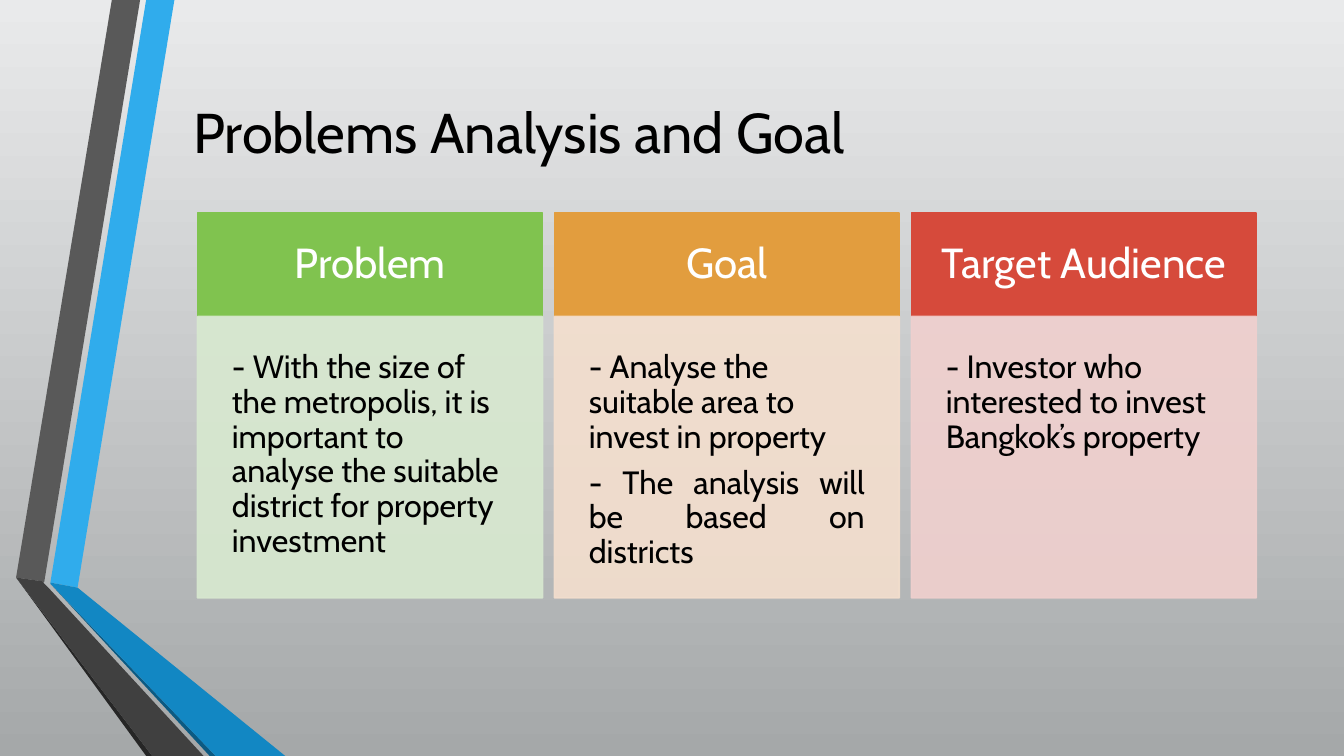
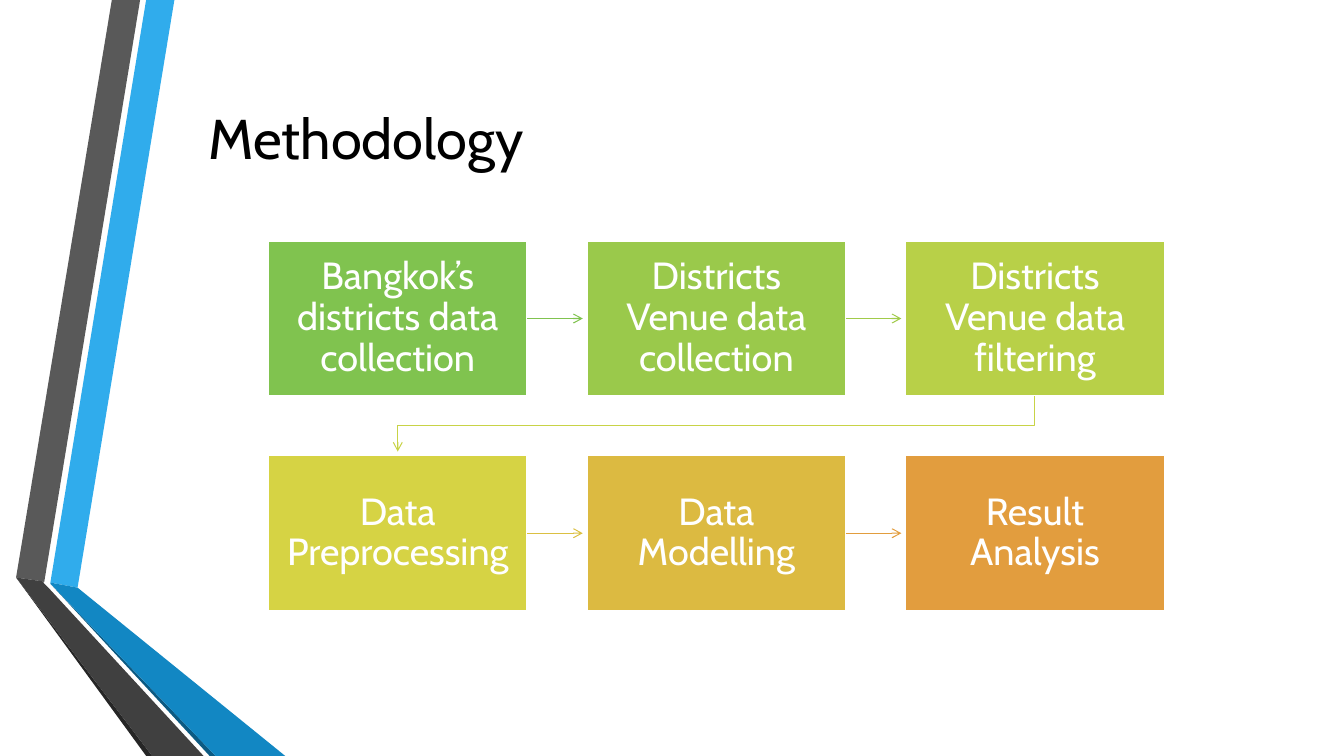
from lxml import etree
from pptx import Presentation
from pptx.dml.color import RGBColor
from pptx.enum import shapes, text
from pptx.oxml import ns
from pptx.util import Inches, Pt

FONT = "Cabin"
BLACK = RGBColor(0x00, 0x00, 0x00)
WHITE = RGBColor(0xFF, 0xFF, 0xFF)
SKY_TOP = RGBColor(0xE9, 0xEA, 0xEB)
SKY_BOTTOM = RGBColor(0xA5, 0xA8, 0xA9)
BLUE = RGBColor(0x30, 0xAC, 0xEC)
BLUE_MID = RGBColor(0x12, 0x87, 0xC3)
BLUE_DARK = RGBColor(0x0C, 0x5A, 0x82)
GREY = RGBColor(0x59, 0x59, 0x59)
GREY_MID = RGBColor(0x40, 0x40, 0x40)
GREY_DARK = RGBColor(0x26, 0x26, 0x26)
GREEN = RGBColor(0x80, 0xC3, 0x4F)
GREEN_PALE = RGBColor(0xD8, 0xE9, 0xD0)
ORANGE = RGBColor(0xE2, 0x9D, 0x3E)
ORANGE_PALE = RGBColor(0xF4, 0xDF, 0xCE)
RED = RGBColor(0xD6, 0x4A, 0x3B)
RED_PALE = RGBColor(0xF0, 0xD0, 0xCE)
LEAF = RGBColor(0x9A, 0xC9, 0x4B)
LIME = RGBColor(0xB8, 0xD0, 0x48)
YELLOW = RGBColor(0xD6, 0xD3, 0x44)
GOLD = RGBColor(0xDC, 0xBA, 0x41)
LEAF_LINE = RGBColor(0xA1, 0xCB, 0x4A)
LIME_LINE = RGBColor(0xC8, 0xD3, 0x46)
GOLD_LINE = RGBColor(0xDB, 0xC0, 0x42)

LEFT, CENTER, JUSTIFY = (
    text.PP_ALIGN.LEFT, text.PP_ALIGN.CENTER, text.PP_ALIGN.JUSTIFY)
TOP, MIDDLE = text.MSO_ANCHOR.TOP, text.MSO_ANCHOR.MIDDLE

BANDS = [
    (BLUE, [(0.5, 5.78), (0.77, 5.83), (1.73, 0), (1.45, 0)]),
    (GREY, [(1.39, 0), (1.11, 0), (0.16, 5.73), (0.44, 5.77)]),
    (GREY_DARK, [(0.16, 5.73), (1.45, 7.5), (1.51, 7.5)]),
    (BLUE_DARK, [(0.5, 5.79), (2.08, 7.5), (2.14, 7.5)]),
    (BLUE_MID, [(0.5, 5.79), (2.14, 7.5), (2.83, 7.5), (0.77, 5.83),
                (0.5, 5.78)]),
    (GREY_MID, [(2.02, 7.5), (0.48, 5.83), (0.43, 5.78), (0.44, 5.77),
                (0.16, 5.73), (1.51, 7.5)]),
]

COLUMNS = [
    ("Problem", GREEN, GREEN_PALE, [
        ("- With the size of the metropolis, it is important to analyse "
         "the suitable district for property investment", LEFT)]),
    ("Goal", ORANGE, ORANGE_PALE, [
        ("- Analyse the suitable area to invest in property", LEFT),
        ("- The analysis will be based on districts", JUSTIFY)]),
    ("Target Audience", RED, RED_PALE, [
        ("- Investor who interested to invest Bangkok’s property", LEFT)]),
]

STEPS = [
    ("Bangkok’s districts data collection", GREEN, GREEN),
    ("Districts Venue data collection", LEAF, LEAF_LINE),
    ("Districts Venue data filtering", LIME, LIME_LINE),
    ("Data Preprocessing", YELLOW, GOLD_LINE),
    ("Data Modelling", GOLD, ORANGE),
    ("Result Analysis", ORANGE, None),
]


def apply(obj, values):
    for name, value in values.items():
        setattr(obj, name, value)


def write(sp, paragraphs, size, color, anchor=MIDDLE, inset=0.1, **spacing):
    tf = sp.text_frame
    margins = ("margin_left", "margin_top", "margin_right", "margin_bottom")
    apply(tf, {"word_wrap": True, "vertical_anchor": anchor,
               **dict.fromkeys(margins, Inches(inset))})
    for i, (words, align) in enumerate(paragraphs):
        p = tf.add_paragraph() if i else tf.paragraphs[0]
        apply(p, {"alignment": align, **spacing})
        r = p.add_run()
        r.text = words
        apply(r.font, {"name": FONT, "size": Pt(size)})
        r.font.color.rgb = color


def add_outline(s, points, close):
    corners = [(Inches(x), Inches(y)) for x, y in points]
    builder = s.shapes.build_freeform(*corners[0])
    builder.add_line_segments(corners[1:], close=close)
    return builder.convert_to_shape()


def add_bands(s, layout):
    for color, points in BANDS:
        sp = add_outline(s, points, True)
        sp.shadow.inherit = False
        sp.fill.solid()
        sp.fill.fore_color.rgb = color
        sp.line.fill.background()
        layout.shapes.element.append(sp.element)


def add_title(s, words, x, y, w, h):
    sp = s.shapes.add_textbox(Inches(x), Inches(y), Inches(w), Inches(h))
    write(sp, [(words, LEFT)], 40, BLACK)


def add_box(s, x, y, w, h, fill, line, paragraphs, size, color, anchor, inset):
    sp = s.shapes.add_shape(shapes.MSO_SHAPE.RECTANGLE,
                            Inches(x), Inches(y), Inches(w), Inches(h))
    sp.shadow.inherit = False
    sp.fill.solid()
    sp.fill.fore_color.rgb = fill
    sp.line.color.rgb = line
    sp.line.width = Pt(1.25)
    write(sp, paragraphs, size, color, anchor, inset,
          line_spacing=0.9, space_after=Pt(0.35 * size))
    return sp


def set_opacity(sp, percent):
    for color in list(sp.element.spPr.iter(ns.qn("a:srgbClr"))):
        etree.SubElement(color, ns.qn("a:alpha"), val=str(percent * 1000))


def add_arrow(s, points, color):
    if len(points) == 2:
        ends = [Inches(v) for point in points for v in point]
        sp = s.shapes.add_connector(shapes.MSO_CONNECTOR.STRAIGHT, *ends)
    else:
        sp = add_outline(s, points, False)
        sp.fill.background()
    sp.line.color.rgb = color
    sp.line.width = Pt(0.75)
    etree.SubElement(sp.line._get_or_add_ln(), ns.qn("a:tailEnd"), type="arrow")
    etree.SubElement(sp.element.spPr, ns.qn("a:effectLst"))


def set_gradient(s):
    fill = s.background.fill
    fill.gradient()
    fill.gradient_angle = 270
    for stop, position, color in zip(fill.gradient_stops, (0, 1),
                                     (SKY_TOP, SKY_BOTTOM)):
        stop.position = position
        stop.color.rgb = color


def add_columns(s):
    top, width, head, body = 2.11, 3.42, 1.03, 2.79
    for i, (name, color, pale, paragraphs) in enumerate(COLUMNS):
        x = 1.96 + 3.54 * i
        add_box(s, x, top, width, head, color, color, [(name, CENTER)],
                30, WHITE, MIDDLE, 0.27)
        sp = add_box(s, x, top + head, width, body, pale, pale, paragraphs,
                     23, BLACK, TOP, 0.34)
        set_opacity(sp, 90)


def add_steps(s):
    left, top, width, height = 2.66, 2.39, 2.57, 1.54
    pitch_x, pitch_y, per_row, gap = 3.16, 2.13, 3, 0.04
    for i, (name, color, arrow) in enumerate(STEPS):
        row, col = divmod(i, per_row)
        x, y = left + pitch_x * col, top + pitch_y * row
        add_box(s, x, y, width, height, color, WHITE, [(name, CENTER)],
                27, WHITE, MIDDLE, 0.13)
        if arrow is None:
            continue
        if col < per_row - 1:
            mid = y + height / 2
            points = [(x + width, mid), (x + pitch_x - gap, mid)]
        else:
            start, end = x + width / 2, left + width / 2
            bottom, below = y + height, y + pitch_y
            turn = (bottom + below) / 2
            points = [(start, bottom), (start, turn), (end, turn),
                      (end, below - gap)]
        add_arrow(s, points, arrow)


def main():
    prs = Presentation()
    apply(prs, {"slide_width": Inches(13.33), "slide_height": Inches(7.5)})
    blank = prs.slide_layouts[6]

    s = prs.slides.add_slide(blank)
    add_bands(s, blank)
    set_gradient(s)
    add_title(s, "Problems Analysis and Goal", 1.82, 0.34, 10.65, 1.92)
    add_columns(s)

    s = prs.slides.add_slide(blank)
    add_title(s, "Methodology", 1.97, 0.61, 10.65, 1.51)
    add_steps(s)

    prs.save("out.pptx")


if __name__ == "__main__":
    main()
